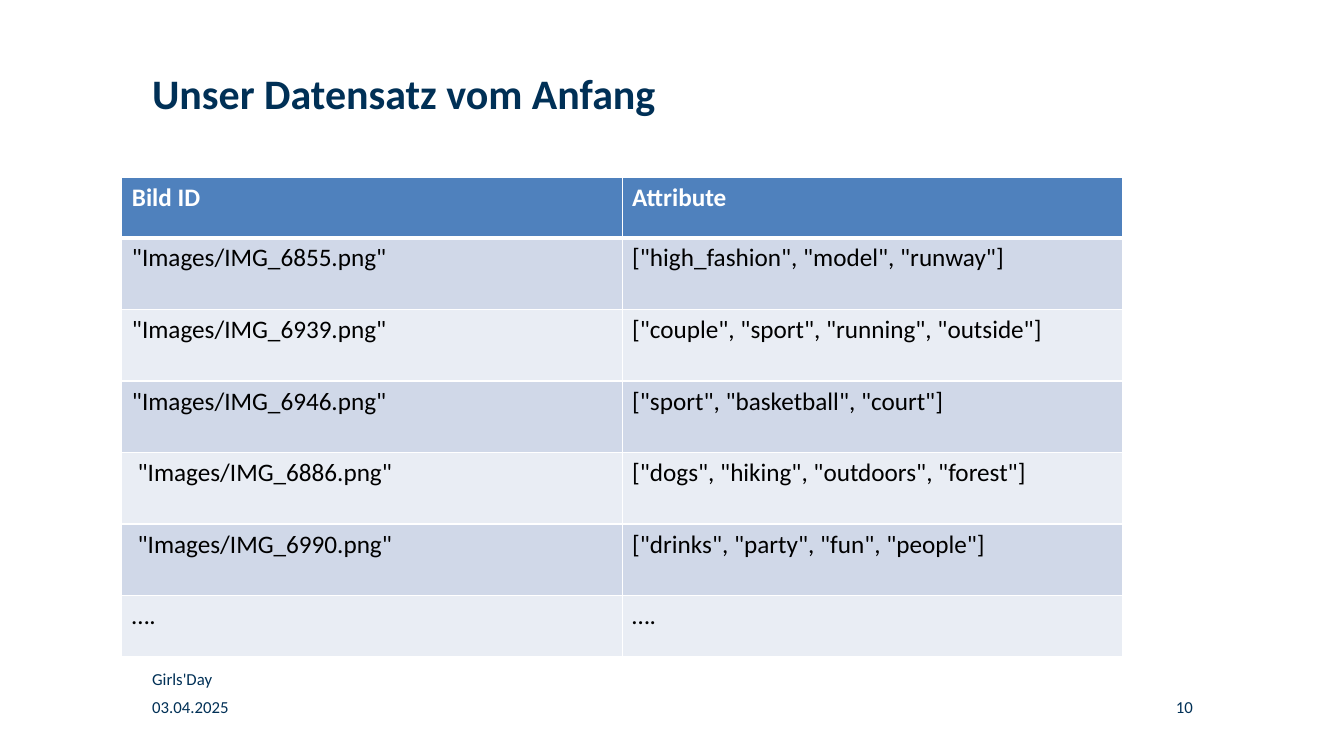
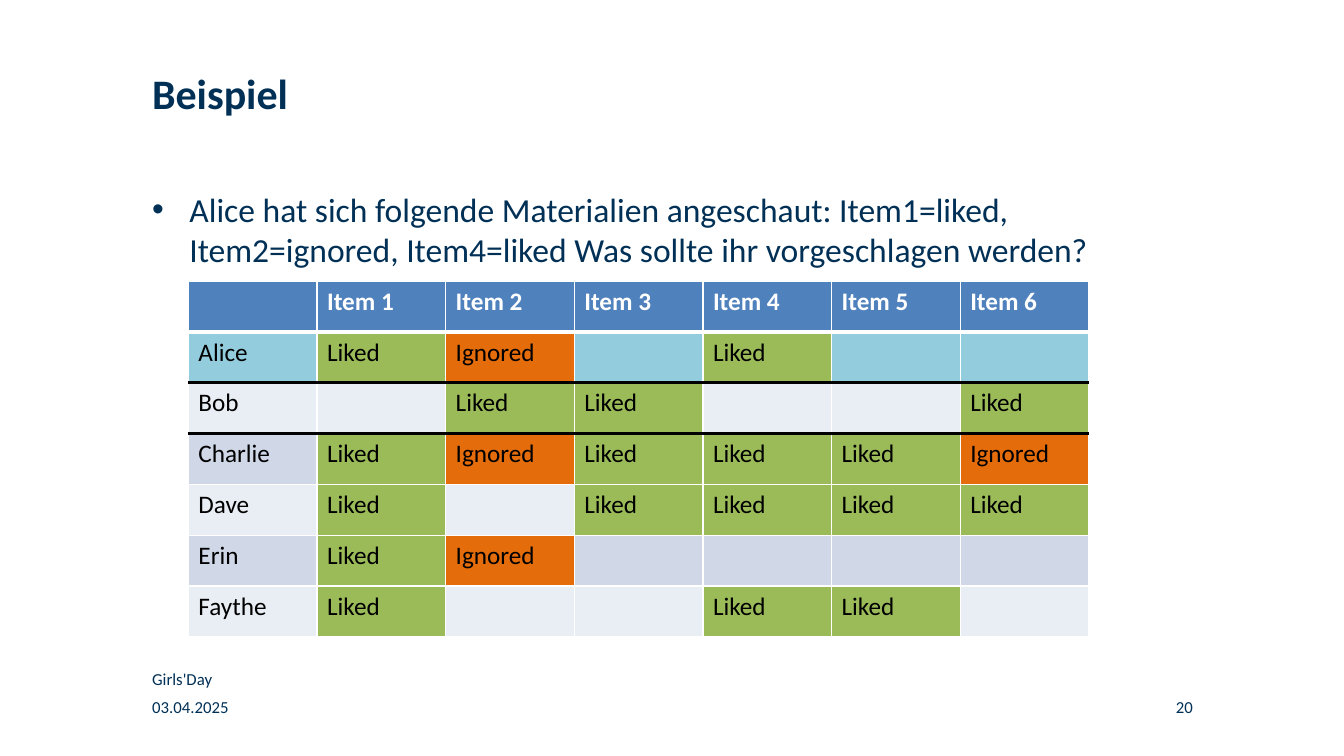
from pptx import Presentation
from pptx import util as u
from pptx.dml.color import RGBColor
from pptx.enum import text
from pptx.oxml import parse_xml
from pptx.oxml.ns import nsdecls

# Shared style
W, H = 13.34, 7.5
FONT = "Calibri"
NAVY, WHITE, BLACK = "003056", "FFFFFF", "000000"
HEADER, BANDS = "4F81BD", ("D0D8E8", "E9EDF4")
HIGHLIGHT = "93CDDD"
STATUS_FILLS = {"Liked": "9BBB59", "Ignored": "E46C0A"}
LEFT = 1.51
TITLE_BOX = (LEFT, 0.67, 7.06, 1.37)
LEFT_ALIGN, RIGHT_ALIGN = text.PP_ALIGN.LEFT, text.PP_ALIGN.RIGHT


def rgb(color):
    return RGBColor.from_string(color)


def write(tf, words, size, color, bold=False, align=LEFT_ALIGN):
    """Fill a text frame with one formatted paragraph and return it."""
    tf.text = words
    p = tf.paragraphs[0]
    p.alignment = align
    for r in p.runs:
        r.font.name, r.font.size, r.font.bold = FONT, u.Pt(size), bold
        r.font.color.rgb = rgb(color)
    return p


def flush(tf):
    tf.word_wrap = True
    tf.auto_size = text.MSO_AUTO_SIZE.NONE
    tf.vertical_anchor = text.MSO_ANCHOR.TOP
    tf.margin_left = tf.margin_top = tf.margin_right = tf.margin_bottom = 0


def add_text(slide, box, words, size, align=LEFT_ALIGN):
    sp = slide.shapes.add_textbox(*map(u.Inches, box))
    flush(sp.text_frame)
    return write(sp.text_frame, words, size, NAVY, align=align)


def add_bullet(slide, box, words):
    p = add_text(slide, box, words, 24)
    pPr = p._p.get_or_add_pPr()
    pPr.set("marL", str(u.Inches(0.37)))
    pPr.set("indent", str(-u.Inches(0.37)))
    pPr.append(parse_xml(f'<a:buFont {nsdecls("a")} typeface="Arial"/>'))
    pPr.append(parse_xml(f'<a:buChar {nsdecls("a")} char="•"/>'))


def add_border(cell, side, color, width):
    cell._tc.get_or_add_tcPr().append(parse_xml(
        f'<a:ln{side} {nsdecls("a")} w="{u.Pt(width)}"><a:solidFill>'
        f'<a:srgbClr val="{color}"/></a:solidFill></a:ln{side}>'))


def add_grid(slide, box, rows, heights, rules=None, row_fills=None):
    """Banded table; rules gives (colour, width) of the line below a row."""
    thin = (WHITE, 1)
    rules = {0: (WHITE, 3), **(rules or {})}
    row_fills = {0: HEADER, **(row_fills or {})}
    columns = len(rows[0])
    frame = slide.shapes.add_table(len(rows), columns, *map(u.Inches, box))
    table = frame.table
    for column in table.columns:
        column.width = u.Inches(box[2] / columns)
    for i, values in enumerate(rows):
        table.rows[i].height = u.Inches(heights[i])
        base = row_fills.get(i, BANDS[(i - 1) % 2])
        for j, value in enumerate(values):
            cell = table.cell(i, j)
            write(cell.text_frame, value, 18, BLACK if i else WHITE, bold=i == 0)
            add_border(cell, "L", *thin)
            add_border(cell, "R", *thin)
            add_border(cell, "T", *rules.get(i - 1, thin))
            add_border(cell, "B", *rules.get(i, thin))
            cell.fill.solid()
            cell.fill.fore_color.rgb = rgb(STATUS_FILLS.get(value, base))


def add_slide(prs, title, number):
    """Title-only slide with title, date, event name and page number."""
    slide = prs.slides.add_slide(prs.slide_layouts[5])
    sp = slide.shapes.title
    sp.left, sp.top, sp.width, sp.height = map(u.Inches, TITLE_BOX)
    flush(sp.text_frame)
    write(sp.text_frame, title, 30, NAVY, bold=True)
    add_text(slide, (LEFT, 6.91, 3.11, 0.2), "03.04.2025", 12)
    add_text(slide, (LEFT, 6.63, 4.22, 0.2), "Girls'Day", 12)
    add_text(slide, (10.3, 6.91, 1.54, 0.2), number, 12, RIGHT_ALIGN)
    return slide


def dataset_slide(prs):
    slide = add_slide(prs, "Unser Datensatz vom Anfang", "10")
    rows = [
        ("Bild ID", "Attribute"),
        ('"Images/IMG_6855.png"', '["high_fashion", "model", "runway"]'),
        ('"Images/IMG_6939.png"', '["couple", "sport", "running", "outside"]'),
        ('"Images/IMG_6946.png"', '["sport", "basketball", "court"]'),
        (' "Images/IMG_6886.png"', '["dogs", "hiking", "outdoors", "forest"]'),
        (' "Images/IMG_6990.png"', '["drinks", "party", "fun", "people"]'),
        ("….", "…."),
    ]
    heights = [0.6] + [0.71] * 5 + [0.6]
    add_grid(slide, (1.21, 1.76, 9.93, sum(heights)), rows, heights)


def example_slide(prs):
    slide = add_slide(prs, "Beispiel", "20")
    add_bullet(slide, (LEFT, 1.87, 10.32, 0.88),
               "Alice hat sich folgende Materialien angeschaut: Item1=liked, "
               "Item2=ignored, Item4=liked Was sollte ihr vorgeschlagen werden?")
    liked, ignored, none = "Liked", "Ignored", ""
    rows = [
        ("", *(f"Item {n}" for n in range(1, 7))),
        ("Alice", liked, ignored, none, liked, none, none),
        ("Bob", none, liked, liked, none, none, liked),
        ("Charlie", liked, ignored, liked, liked, liked, ignored),
        ("Dave", liked, none, liked, liked, liked, liked),
        ("Erin", liked, ignored, none, none, none, none),
        ("Faythe", liked, none, none, liked, liked, none),
    ]
    height = 3.53
    black_rule = (BLACK, 2.25)
    add_grid(slide, (1.87, 2.79, 8.94, height), rows,
             [height / len(rows)] * len(rows),
             rules={1: black_rule, 2: black_rule}, row_fills={1: HIGHLIGHT})


def main():
    prs = Presentation()
    prs.slide_width, prs.slide_height = u.Inches(W), u.Inches(H)
    dataset_slide(prs)
    example_slide(prs)
    prs.save("out.pptx")


if __name__ == "__main__":
    main()
